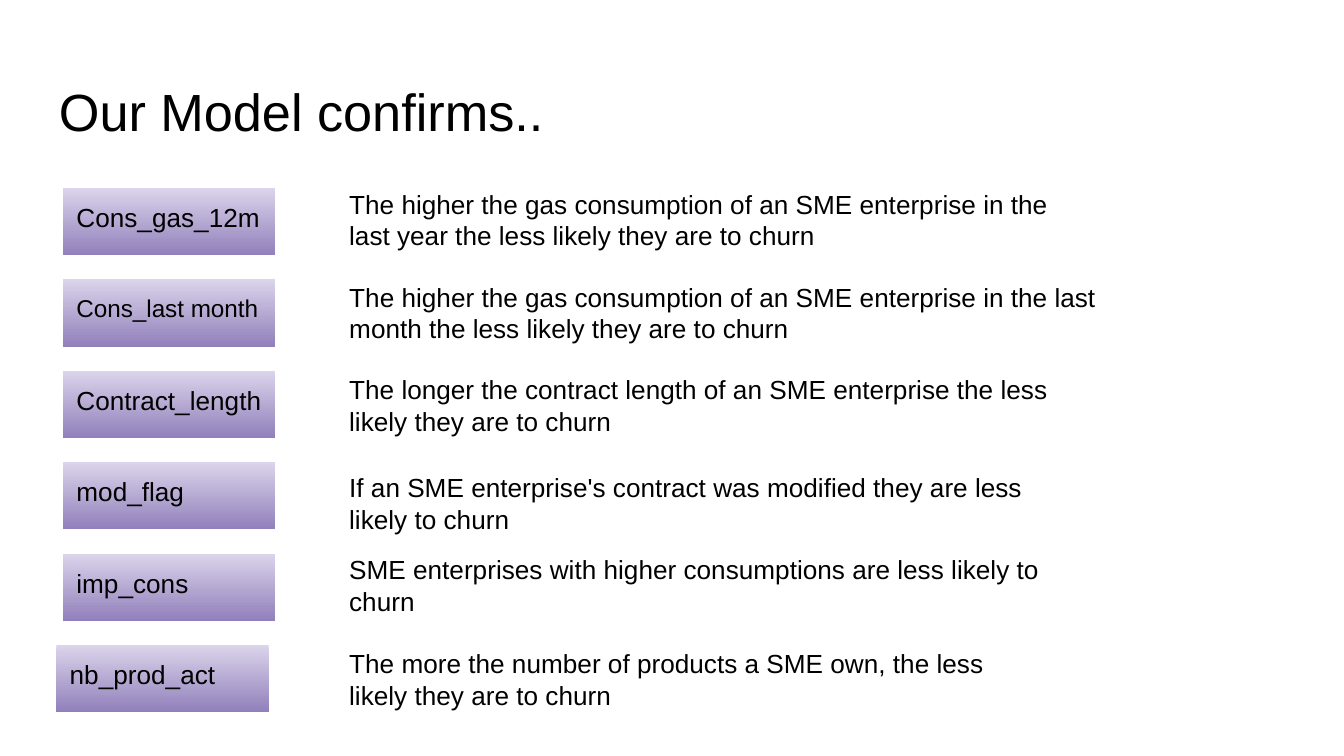
from pptx import Presentation
from pptx.dml.color import RGBColor
from pptx.enum.shapes import MSO_SHAPE
from pptx.enum.text import MSO_ANCHOR, PP_ALIGN
from pptx.util import Inches, Pt

RECT = MSO_SHAPE.RECTANGLE
TOP = MSO_ANCHOR.TOP
LEFT = PP_ALIGN.LEFT

ROWS = [
    ("Cons_gas_12m", 14, 0.47, (1.3, 5.66, 0.7),
     "The higher the gas consumption of an SME enterprise in the last year "
     "the less likely they are to churn"),
    ("Cons_last month", 13, 0.47, (1.99, 7.02, 0.38),
     "The higher the gas consumption of an SME enterprise in the last\n"
     "month the less likely they are to churn"),
    ("Contract_length", 14, 0.47, (2.68, 5.53, 0.5),
     "The longer the contract length of an SME enterprise the less\n"
     "likely they are to churn"),
    ("mod_flag", 14, 0.47, (3.41, 5.46, 0.38),
     "If an SME enterprise's contract was modified they are less likely to churn"),
    ("imp_cons", 14, 0.47, (4.02, 5.46, 0.38),
     "SME enterprises with higher consumptions are less likely to churn"),
    ("nb_prod_act", 14, 0.42, (4.72, 5.3, 0.6),
     "The more the number of products a SME own, the less likely they are to churn"),
]


def color(code):
    """Turn a hex string into a colour."""
    return RGBColor.from_string(code)


def write(frame, text, size=14, font="Arial", ink="000000"):
    """Fill a text frame, one paragraph for each line of text."""
    frame.word_wrap = True
    frame.vertical_anchor = TOP
    frame.margin_left = frame.margin_right = Inches(0.1)
    frame.margin_top = frame.margin_bottom = Inches(0.1)
    frame.text = text
    for para in frame.paragraphs:
        para.alignment = LEFT
        for run in para.runs:
            run.font.size = Pt(size)
            run.font.name = font
            run.font.color.rgb = color(ink)


class Deck:
    """Hold the style and the current slide."""

    fade = ("DBD4EB", "9180BB")

    def __init__(self, slide):
        """Keep the slide to draw on."""
        self.shapes = slide.shapes

    def label(self, left, top, width, height, text, **style):
        """Add a plain text box."""
        box = self.shapes.add_textbox(*map(Inches, (left, top, width, height)))
        write(box.text_frame, text, **style)

    def tag(self, left, top, width, height, text, **style):
        """Add a shaded box with a name in it."""
        box = self.shapes.add_shape(RECT, *map(Inches, (left, top, width, height)))
        box.shadow.inherit = False
        box.line.fill.background()
        box.fill.gradient()
        box.fill.gradient_angle = 270
        for stop, code, place in zip(box.fill.gradient_stops, self.fade, (0, 1)):
            stop.color.rgb = color(code)
            stop.position = place
        write(box.text_frame, text, **style)


def main():
    """Build the slide and save it."""
    show = Presentation()
    show.slide_width, show.slide_height = Inches(10), Inches(10 * 9 / 16)
    deck = Deck(show.slides.add_slide(show.slide_layouts[6]))
    deck.label(0.34, 0.49, 9.32, 0.63, "Our Model confirms..", size=28)
    for row, (name, size, left, (top, width, height), text) in enumerate(ROWS):
        deck.tag(left, 1.4 + 0.68 * row, 1.58, 0.5, name, size=size)
        deck.label(2.5, top, width, height, text)
    show.save("out.pptx")


if __name__ == "__main__":
    main()
